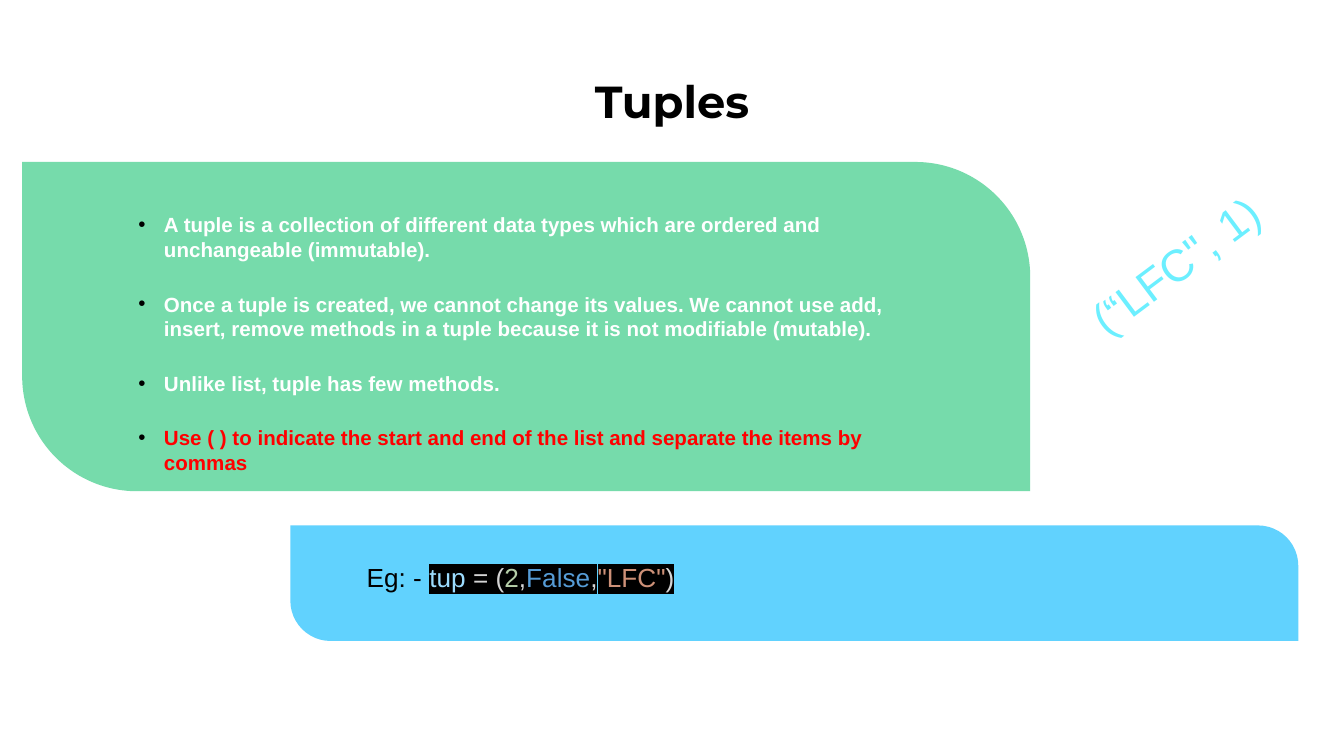
from lxml.etree import SubElement
from pptx import Presentation
from pptx.dml.color import RGBColor
from pptx.enum.shapes import MSO_SHAPE
from pptx.enum.text import MSO_ANCHOR, MSO_AUTO_SIZE, PP_ALIGN
from pptx.oxml.ns import qn
from pptx.util import Inches, Pt

BLACK = RGBColor(0x00, 0x00, 0x00)
WHITE = RGBColor(0xFF, 0xFF, 0xFF)
RED = RGBColor(0xFF, 0x00, 0x00)
GREEN = RGBColor(0x76, 0xDB, 0xAB)
BLUE = RGBColor(0x61, 0xD2, 0xFE)
CYAN = RGBColor(0x6C, 0xEF, 0xFF)
CODE_NAME = RGBColor(0x9C, 0xDC, 0xFE)
CODE_PLAIN = RGBColor(0xD4, 0xD4, 0xD4)
CODE_NUMBER = RGBColor(0xB5, 0xCE, 0xA8)
CODE_KEYWORD = RGBColor(0x56, 0x9C, 0xD6)
CODE_STRING = RGBColor(0xCE, 0x91, 0x78)

POINTS = [
    ("A tuple is a collection of different data types which are ordered "
     "and unchangeable (immutable).", WHITE),
    ("Once a tuple is created, we cannot change its values. We cannot use add, "
     "insert, remove methods in a tuple because it is not modifiable (mutable).", WHITE),
    ("Unlike list, tuple has few methods.", WHITE),
    ("Use ( ) to indicate the start and end of the list and separate "
     "the items by commas", RED),
]
CODE = [
    ("tup", CODE_NAME),
    (" = (", CODE_PLAIN),
    ("2", CODE_NUMBER),
    (",", CODE_PLAIN),
    ("False", CODE_KEYWORD),
    (",", CODE_PLAIN),
    ('"LFC"', CODE_STRING),
    (")", CODE_PLAIN),
]


class SlideBuilder:
    heading_font = "Montserrat"
    body_font = "Arial"

    def __init__(self, presentation):
        layout = presentation.slide_layouts.get_by_name("Title and Content")
        self.slide = presentation.slides.add_slide(layout)

    def frame(self, shape, box, inset=0.1):
        """Place a text shape and return its text frame, set up for fixed-size text."""
        shape.left, shape.top, shape.width, shape.height = map(Inches, box)
        text_frame = shape.text_frame
        text_frame.word_wrap = True
        text_frame.auto_size = MSO_AUTO_SIZE.NONE
        text_frame.vertical_anchor = MSO_ANCHOR.TOP
        text_frame.margin_left = text_frame.margin_right = Inches(0.1)
        text_frame.margin_top = text_frame.margin_bottom = Inches(inset)
        return text_frame

    def run(self, paragraph, text, size, color, bold=False, font=None, highlight=None):
        run = paragraph.add_run()
        run.text = text
        run.font.size = Pt(size)
        run.font.bold = bold
        run.font.color.rgb = color
        if highlight is not None:
            mark = SubElement(run.font._element, qn("a:highlight"))
            SubElement(mark, qn("a:srgbClr"), val=str(highlight))
        run.font.name = font or self.body_font

    def title(self, text, box):
        paragraph = self.frame(self.slide.shapes.title, box).paragraphs[0]
        paragraph.alignment = PP_ALIGN.CENTER
        self.run(paragraph, text, 24, BLACK, bold=True, font=self.heading_font)

    def panel(self, box, color):
        shape = self.slide.shapes.add_shape(
            MSO_SHAPE.ROUND_2_DIAG_RECTANGLE, *map(Inches, box))
        shape.rotation = 90
        shape.adjustments[0] = 0.349
        shape.adjustments[1] = 0
        shape.shadow.inherit = False
        shape.fill.solid()
        shape.fill.fore_color.rgb = color
        shape.line.fill.background()
        return shape

    def bullet(self, paragraph):
        properties = paragraph._p.get_or_add_pPr()
        properties.set("marL", str(Inches(0.19)))
        properties.set("indent", str(Inches(-0.19)))
        color = SubElement(properties, qn("a:buClr"))
        SubElement(color, qn("a:srgbClr"), val=str(BLACK))
        SubElement(properties, qn("a:buFont"), typeface=self.body_font)
        SubElement(properties, qn("a:buChar"), char="•")

    def bullet_list(self, points, box):
        text_frame = self.frame(self.slide.placeholders[1], box)
        for index, (text, color) in enumerate(points):
            paragraph = text_frame.add_paragraph() if index else text_frame.paragraphs[0]
            self.bullet(paragraph)
            paragraph.space_before = Pt(16 if index else 0)
            self.run(paragraph, text, 11, color, bold=True)

    def code_line(self, label, tokens, box):
        shape = self.slide.shapes.add_textbox(*map(Inches, box))
        paragraph = self.frame(shape, box).paragraphs[0]
        self.run(paragraph, label, 14, BLACK)
        for text, color in tokens:
            self.run(paragraph, text, 14, color, highlight=BLACK)

    def tilted_label(self, text, box, rotation):
        shape = self.slide.shapes.add_textbox(*map(Inches, box))
        shape.rotation = rotation
        paragraph = self.frame(shape, box, inset=0.05).paragraphs[0]
        paragraph.alignment = PP_ALIGN.CENTER
        self.run(paragraph, text, 24, CYAN)

    def send_to_back(self, shape):
        tree = self.slide.shapes._spTree
        tree.remove(shape._element)
        tree.insert(2, shape._element)


def main():
    presentation = Presentation()
    presentation.slide_width = Inches(10)
    presentation.slide_height = presentation.slide_width * 9 // 16

    builder = SlideBuilder(presentation)
    builder.title("Tuples", (0.5, 0.45, 9, 0.63))
    list_panel = builder.panel((2.69, -1.32, 2.45, 7.5), GREEN)
    builder.send_to_back(list_panel)
    builder.bullet_list(POINTS, (0.93, 1.48, 6.24, 1.8))
    builder.panel((5.48, 0.59, 0.86, 7.5), BLUE)
    builder.code_line("Eg: - ", CODE, (2.63, 4.08, 5.38, 0.73))
    builder.tilted_label("(“LFC\", 1)", (7.91, 1.72, 1.67, 0.5), 323.2)
    presentation.save("out.pptx")


if __name__ == "__main__":
    main()
